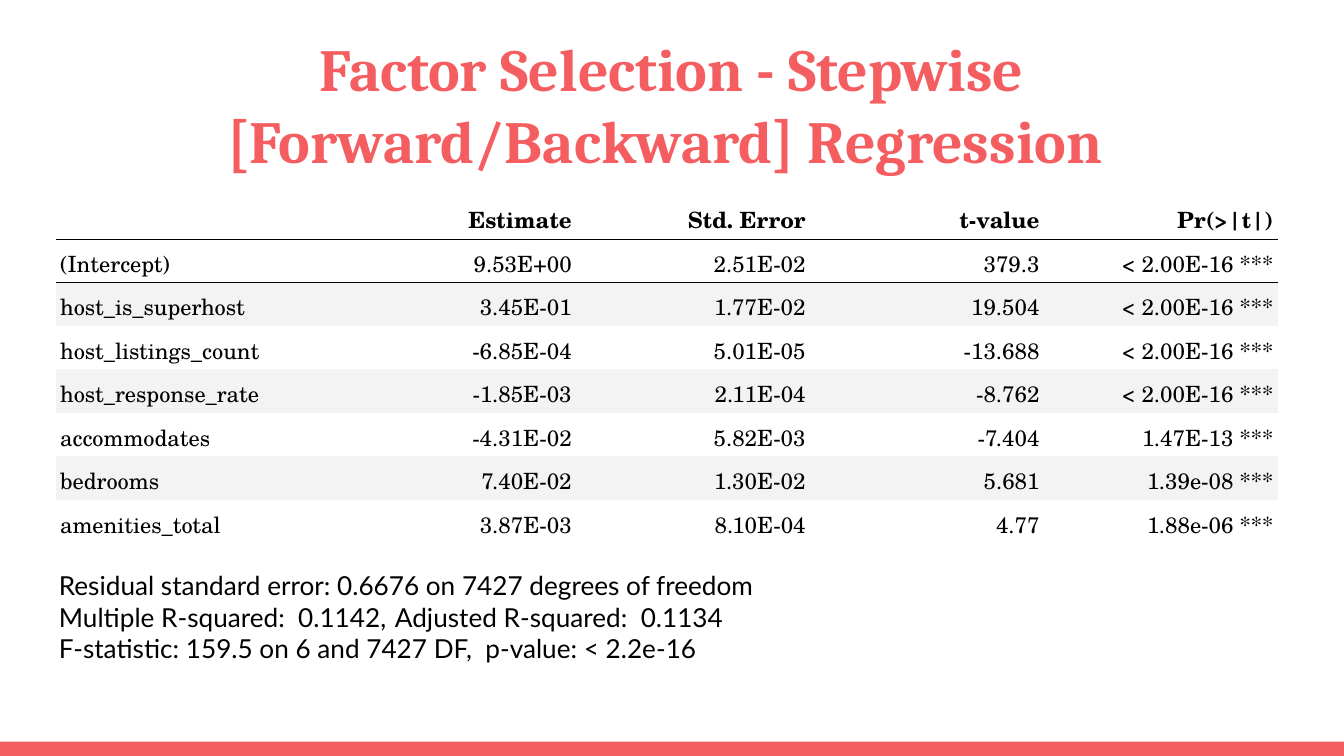
from dataclasses import dataclass

from lxml.etree import SubElement
from pptx import Presentation
from pptx.dml.color import RGBColor
from pptx.enum.shapes import MSO_SHAPE
from pptx.enum.text import MSO_ANCHOR, MSO_AUTO_SIZE, PP_ALIGN
from pptx.oxml import parse_xml
from pptx.oxml.ns import nsdecls, qn
from pptx.util import Pt

COLORS = {"coral": "F55E61", "ink": "000000", "white": "FFFFFF", "band": "F3F3F3"}
TABLE_FONT_SIZE = 12
ROW_HEIGHT = 23.3
COLUMN_WIDTHS = (163.4, 115.2, 125.3, 125.3, 125.3)
NO_STYLE = "{2D5ABB26-0587-4C30-8999-92F81FD0307C}"


@dataclass
class Factor:
    name: str
    estimate: str
    std_error: str
    t_value: str
    p_value: str

    def values(self) -> tuple:
        return self.name, self.estimate, self.std_error, self.t_value, self.p_value


HEADER = Factor("", "Estimate", "Std. Error", "t-value", "Pr(>|t|)")
FACTORS = [
    Factor("(Intercept)", "9.53E+00", "2.51E-02", "379.3", "< 2.00E-16 ***"),
    Factor("host_is_superhost", "3.45E-01", "1.77E-02", "19.504", "< 2.00E-16 ***"),
    Factor("host_listings_count", "-6.85E-04", "5.01E-05", "-13.688", "< 2.00E-16 ***"),
    Factor("host_response_rate", "-1.85E-03", "2.11E-04", "-8.762", "< 2.00E-16 ***"),
    Factor("accommodates", "-4.31E-02", "5.82E-03", "-7.404", "1.47E-13 ***"),
    Factor("bedrooms", "7.40E-02", "1.30E-02", "5.681", "1.39e-08 ***"),
    Factor("amenities_total", "3.87E-03", "8.10E-04", "4.77", "1.88e-06 ***"),
]
FIT_SUMMARY = [
    "Residual standard error: 0.6676 on 7427 degrees of freedom",
    "Multiple R-squared:  0.1142,\tAdjusted R-squared:  0.1134",
    "F-statistic: 159.5 on 6 and 7427 DF,  p-value: < 2.2e-16",
]


def rgb(color: str) -> RGBColor:
    return RGBColor.from_string(COLORS[color])


def format_runs(paragraph, font: str, size: float, color: str, bold: bool = False) -> None:
    for run in paragraph.runs:
        run.font.name = font
        run.font.size = Pt(size)
        run.font.bold = bold
        run.font.color.rgb = rgb(color)


def set_insets(frame, inset: float) -> None:
    frame.margin_left = frame.margin_right = Pt(inset)
    frame.margin_top = frame.margin_bottom = Pt(inset)


def add_bottom_border(cell, width: float) -> None:
    border = parse_xml(
        f'<a:lnB {nsdecls("a")} w="{Pt(width)}"><a:solidFill>'
        f'<a:srgbClr val="{COLORS["ink"]}"/></a:solidFill></a:lnB>'
    )
    cell._tc.get_or_add_tcPr().insert(0, border)


def fill_cell(cell, value: str, row: int, column: int) -> None:
    cell.fill.solid()
    cell.fill.fore_color.rgb = rgb("band" if row > 0 and row % 2 == 0 else "white")
    cell.vertical_anchor = MSO_ANCHOR.BOTTOM
    cell.margin_left = cell.margin_right = Pt(2.25)
    cell.margin_top = cell.margin_bottom = Pt(1.5)
    paragraph = cell.text_frame.paragraphs[0]
    paragraph.alignment = PP_ALIGN.RIGHT if column else PP_ALIGN.LEFT
    paragraph.line_spacing = 1.15
    if value:
        paragraph.text = value
        format_runs(paragraph, "TeX Gyre Schola", TABLE_FONT_SIZE, "ink", bold=row == 0)
    else:
        # Keep the blank header cell from stretching its row
        SubElement(paragraph._p, qn("a:endParaRPr"), sz=str(TABLE_FONT_SIZE * 100))
    if row < 2:
        add_bottom_border(cell, 0.75 if row == 0 else 1)


def add_factor_table(slide) -> None:
    rows = [HEADER, *FACTORS]
    table = slide.shapes.add_table(
        len(rows), len(COLUMN_WIDTHS), Pt(30), Pt(103.9),
        Pt(sum(COLUMN_WIDTHS)), Pt(ROW_HEIGHT * len(rows)),
    ).table
    table.first_row = table.horz_banding = False
    table._tbl.tblPr.find(qn("a:tableStyleId")).text = NO_STYLE
    for column, width in zip(table.columns, COLUMN_WIDTHS):
        column.width = Pt(width)
    for r, factor in enumerate(rows):
        table.rows[r].height = Pt(ROW_HEIGHT)
        for c, value in enumerate(factor.values()):
            fill_cell(table.cell(r, c), value, r, c)


def add_title(slide) -> None:
    title = slide.shapes.title
    title.left, title.top, title.width, title.height = Pt(24.5), Pt(31), Pt(671), Pt(49)
    frame = title.text_frame
    frame.text = "Factor Selection - Stepwise [Forward/Backward] Regression "
    frame.word_wrap = True
    frame.auto_size = MSO_AUTO_SIZE.NONE
    frame.vertical_anchor = MSO_ANCHOR.MIDDLE
    set_insets(frame, 7.2)
    frame.paragraphs[0].alignment = PP_ALIGN.CENTER
    format_runs(frame.paragraphs[0], "Cambria", 32, "coral", bold=True)


def add_fit_summary(slide) -> None:
    summary = slide.shapes.add_textbox(Pt(24.5), Pt(298), Pt(659.5), Pt(56))
    frame = summary.text_frame
    frame.word_wrap = True
    set_insets(frame, 7.2)
    frame.text = "\n".join(FIT_SUMMARY)
    for paragraph in frame.paragraphs:
        format_runs(paragraph, "Lato", 14, "ink")


def add_footer_bar(slide) -> None:
    bar = slide.shapes.add_shape(MSO_SHAPE.RECTANGLE, 0, Pt(397.3), Pt(720), Pt(7.7))
    bar.shadow.inherit = False
    bar.fill.solid()
    bar.fill.fore_color.rgb = rgb("coral")
    bar.line.fill.background()


def main() -> None:
    deck = Presentation()
    deck.slide_width, deck.slide_height = Pt(720), Pt(405)
    slide = deck.slides.add_slide(deck.slide_layouts[5])
    add_footer_bar(slide)
    add_factor_table(slide)
    add_title(slide)
    add_fit_summary(slide)
    deck.save("out.pptx")


if __name__ == "__main__":
    main()
